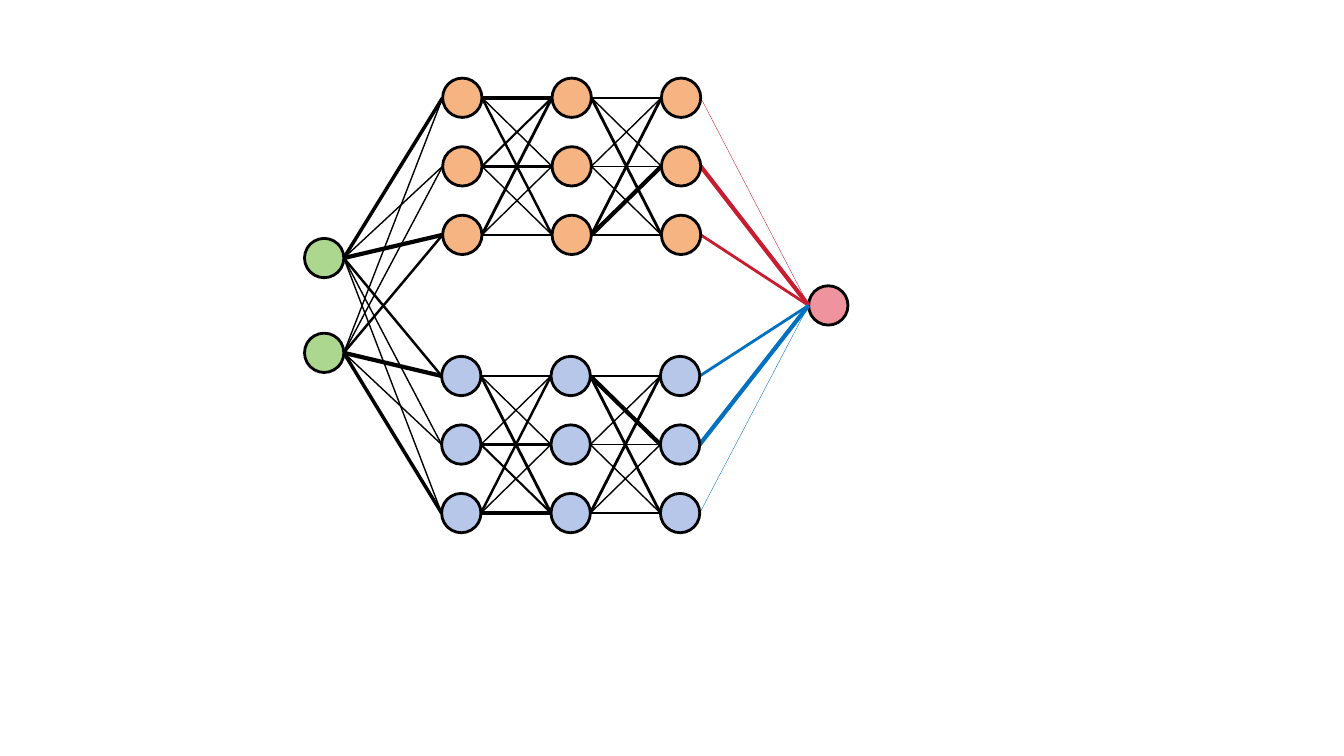
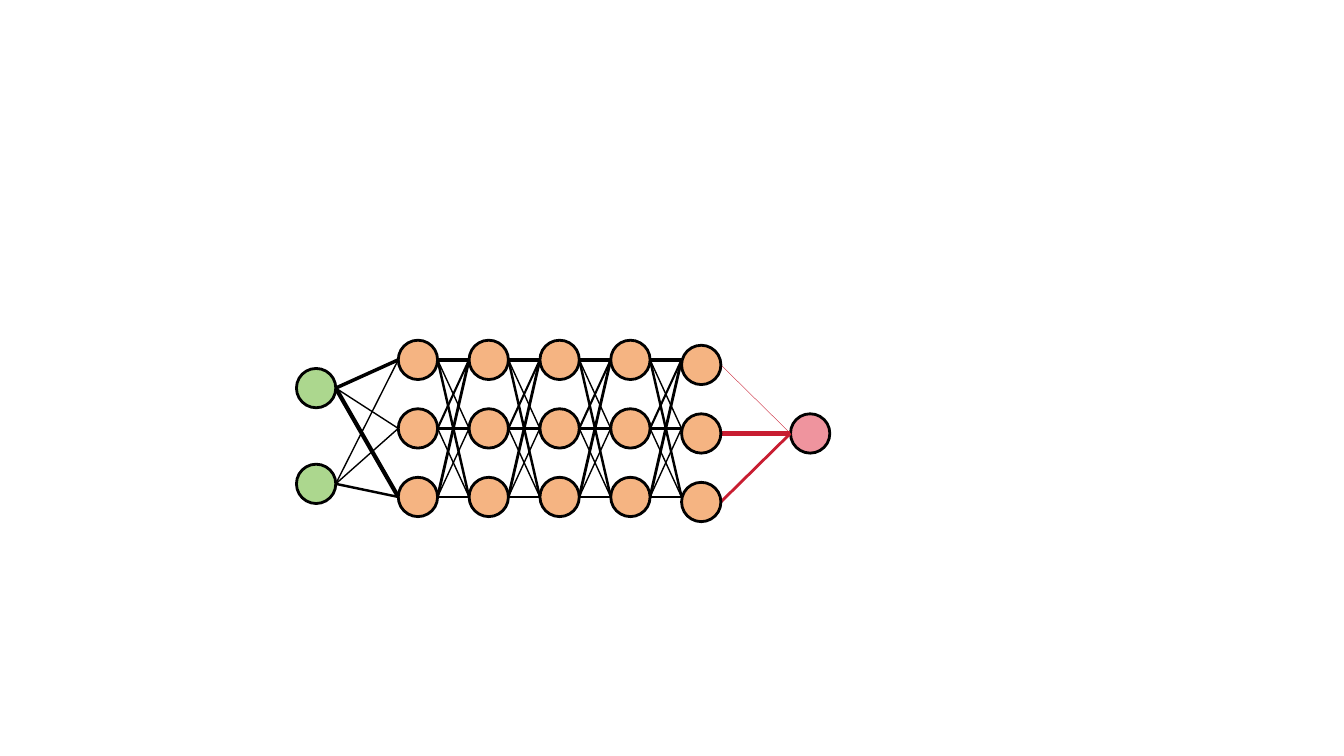
"""Build two slides of layered neural networks with weighted links."""
from itertools import product

from pptx import Presentation
from pptx.dml.color import RGBColor
from pptx.enum.shapes import MSO_CONNECTOR, MSO_SHAPE
from pptx.oxml.ns import qn
from pptx.util import Inches, Pt

BLACK = RGBColor(0x00, 0x00, 0x00)
GREEN = RGBColor(0xAC, 0xD7, 0x8E)
ORANGE = RGBColor(0xF5, 0xB4, 0x82)
PERIWINKLE = RGBColor(0xB6, 0xC7, 0xEA)
PINK = RGBColor(0xEF, 0x94, 0x9E)
RED = RGBColor(0xC8, 0x1D, 0x31)
BLUE = RGBColor(0x00, 0x70, 0xC0)

NODE_SIZE = 0.39
NODE_OUTLINE = 2
ROW_PITCH = 0.68
ROWS = 3

INPUT_WEIGHTS = [(2.5, 1, 3), (1, 1, 1.75)]
DENSE_WEIGHTS = [(3, 1, 1.75), (1.5, 2.5, 1), (2, 1, 1)]
CROSS_WEIGHTS = [(1.5, 1, 2), (1, 1, 1), (2, 3, 1.5)]
OUTPUT_WEIGHTS = [(0.25,), (3,), (2,)]

NETWORKS = [
    {
        "inputs": (3.02, [2.56, 3.5]),
        "output": (8.02, [3.03]),
        "hidden_weights": [DENSE_WEIGHTS, CROSS_WEIGHTS],
        "branches": [
            {"span": (4.39, 6.56), "top": 0.97, "last_drop": 0,
             "fill": ORANGE, "output_line": RED, "mirrored": False},
            {"span": (4.38, 6.55), "top": 3.73, "last_drop": 0,
             "fill": PERIWINKLE, "output_line": BLUE, "mirrored": True},
        ],
    },
    {
        "inputs": (2.94, [3.85, 4.8]),
        "output": (7.84, [4.3]),
        "hidden_weights": [DENSE_WEIGHTS] * 4,
        "branches": [
            {"span": (3.95, 6.76), "top": 3.57, "last_drop": 0.05,
             "fill": ORANGE, "output_line": RED, "mirrored": False},
        ],
    },
]


def format_line(line, color, width):
    for name, value in {"color": color, "width": Pt(width)}.items():
        if name == "color":
            line.color.rgb = value
        else:
            setattr(line, name, value)


def add_nodes(page, layer, fill):
    left, centers = layer
    for center in centers:
        node = page.shapes.add_shape(
            MSO_SHAPE.OVAL, Inches(left), Inches(center - NODE_SIZE / 2),
            Inches(NODE_SIZE), Inches(NODE_SIZE))
        node.shadow.inherit = False
        node.fill.solid()
        node.fill.fore_color.rgb = fill
        format_line(node.line, BLACK, NODE_OUTLINE)


def add_links(page, source, target, weights, color=BLACK):
    (source_left, source_rows), (target_left, target_rows) = source, target
    for (i, start), (j, end) in product(enumerate(source_rows), enumerate(target_rows)):
        link = page.shapes.add_connector(
            MSO_CONNECTOR.STRAIGHT, Inches(source_left + NODE_SIZE), Inches(start),
            Inches(target_left), Inches(end))
        format_line(link.line, color, weights[i][j])
        properties = link._element.spPr
        properties.append(properties.makeelement(qn("a:effectLst"), {}))


def mirror(weights):
    return [row[::-1] for row in weights[::-1]]


def add_branch(page, network, branch):
    first, last = branch["span"]
    steps = len(network["hidden_weights"])
    rows = [branch["top"] + ROW_PITCH * row for row in range(ROWS)]
    columns = [(first + (last - first) * step / steps, rows) for step in range(steps + 1)]
    final = (last, [row + branch["last_drop"] for row in rows])
    orient = mirror if branch["mirrored"] else list

    layers = [network["inputs"], *columns]
    weight_sets = [INPUT_WEIGHTS, *network["hidden_weights"]]
    for source, target, weights in zip(layers, layers[1:], weight_sets):
        add_links(page, source, target, orient(weights))
    add_links(page, final, network["output"], orient(OUTPUT_WEIGHTS), branch["output_line"])
    for layer in [*columns[:-1], final]:
        add_nodes(page, layer, branch["fill"])


def main():
    deck = Presentation()
    deck.slide_width, deck.slide_height = Inches(13.33), Inches(7.5)
    for network in NETWORKS:
        page = deck.slides.add_slide(deck.slide_layouts[6])
        add_nodes(page, network["output"], PINK)
        for branch in network["branches"]:
            add_branch(page, network, branch)
        add_nodes(page, network["inputs"], GREEN)
    deck.save("out.pptx")


if __name__ == "__main__":
    main()
